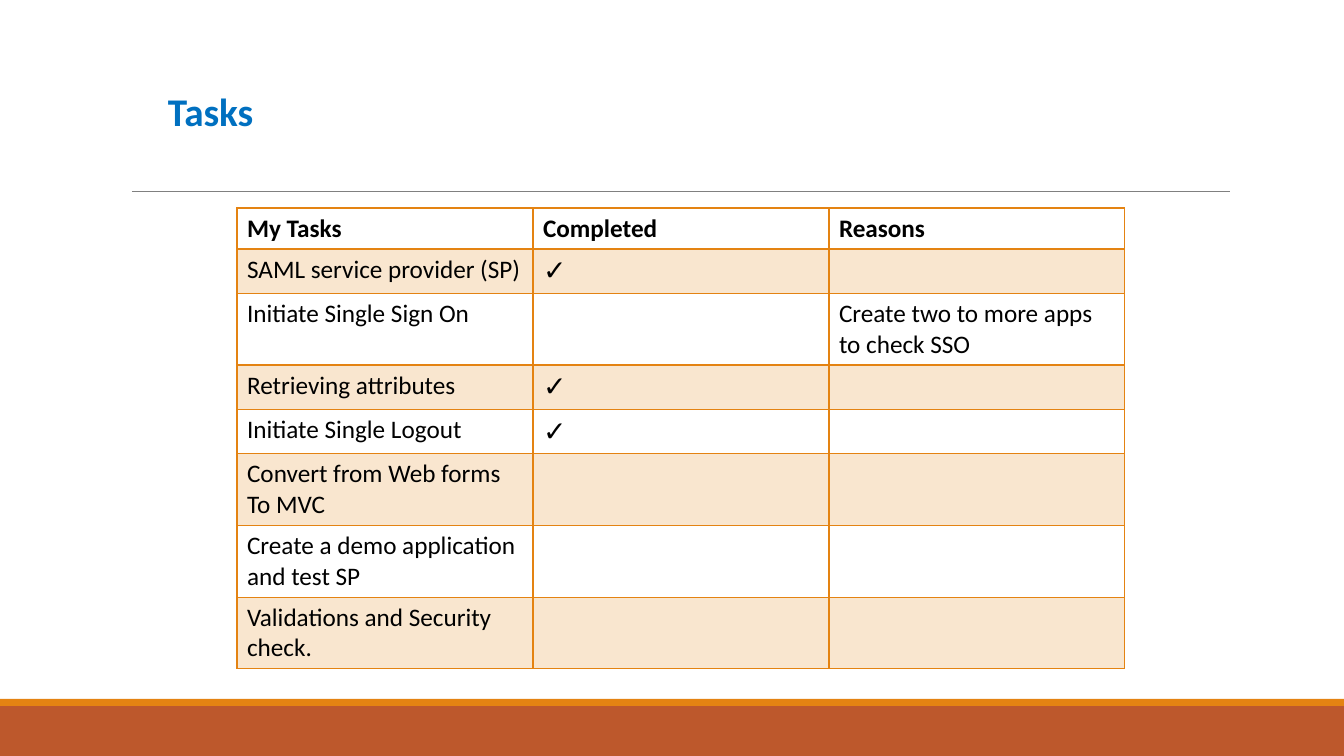
"""Build the Tasks slide with its progress table."""
import lxml.etree
import pptx
import pptx.dml.color
import pptx.enum.shapes
import pptx.enum.text
import pptx.oxml.ns
import pptx.util

PX = 914400 / 100.8
ORANGE = "E48312"
qn = pptx.oxml.ns.qn


def px(*lengths):
    return [pptx.util.Emu(round(length * PX)) for length in lengths]


def color(value):
    return pptx.dml.color.RGBColor.from_string(value)


presentation = pptx.Presentation()
presentation.slide_width, presentation.slide_height = px(1344, 756)
slide = presentation.slides.add_slide(presentation.slide_layouts[6])

for top, height, fill in [(706, 50, "BD582C"), (699, 7, ORANGE)]:
    band = slide.shapes.add_shape(
        pptx.enum.shapes.MSO_SHAPE.RECTANGLE, *px(0, top, 1344, height))
    band.shadow.inherit = False
    band.fill.solid()
    band.fill.fore_color.rgb = color(fill)
    band.line.fill.background()

rule = slide.shapes.add_connector(
    pptx.enum.shapes.MSO_CONNECTOR.STRAIGHT, *px(132, 191, 1230, 191))
rule.line.color.rgb = color("808080")
rule.line.width = pptx.util.Pt(0.5)
lxml.etree.SubElement(rule._element.spPr, qn("a:effectLst"))

tasks = [
    ("My Tasks", "Completed", "Reasons"),
    ("SAML service provider (SP)", "✓", ""),
    ("Initiate Single Sign On", "", "Create two to more apps to check SSO"),
    ("Retrieving attributes", "✓", ""),
    ("Initiate Single Logout", "✓", ""),
    ("Convert from Web forms\nTo MVC", "", ""),
    ("Create a demo application and test SP", "", ""),
    ("Validations and Security check.", "", ""),
]
table = slide.shapes.add_table(
    len(tasks), 3, *px(237, 208, 888, 41 * len(tasks))).table
table.first_row = table.horz_banding = False

for row, texts in enumerate(tasks):
    for column, text in enumerate(texts):
        cell = table.cell(row, column)
        cell.text_frame.text = text
        for paragraph in cell.text_frame.paragraphs:
            paragraph.font.size = pptx.util.Pt(18)
            for run in paragraph.runs:
                run.font.name = "Calibri"
                run.font.size = pptx.util.Pt(20 if text == "✓" else 18)
                run.font.bold = row == 0
                run.font.color.rgb = color("000000")
        properties = cell._tc.get_or_add_tcPr()
        for side in ("lnL", "lnR", "lnT", "lnB"):
            thick = (row, side) in [(0, "lnB"), (1, "lnT")]
            width = pptx.util.Pt(2 if thick else 1)
            border = lxml.etree.SubElement(properties, qn("a:" + side), w=str(width))
            solid = lxml.etree.SubElement(border, qn("a:solidFill"))
            lxml.etree.SubElement(solid, qn("a:srgbClr"), val=ORANGE)
        if row % 2:
            cell.fill.solid()
            cell.fill.fore_color.rgb = color(ORANGE)
            tint = properties.find(qn("a:solidFill")).find(qn("a:srgbClr"))
            lxml.etree.SubElement(tint, qn("a:alpha"), val="20000")
        else:
            cell.fill.background()

title = slide.shapes.add_textbox(*px(158, 82, 1069, 57))
title.text_frame.word_wrap = True
title.text_frame.auto_size = pptx.enum.text.MSO_AUTO_SIZE.SHAPE_TO_FIT_TEXT
title.text_frame.text = "Tasks"
title_font = title.text_frame.paragraphs[0].runs[0].font
title_font.name = "Calibri"
title_font.size = pptx.util.Pt(28)
title_font.bold = True
title_font.color.rgb = color("0070C0")

presentation.save("out.pptx")
